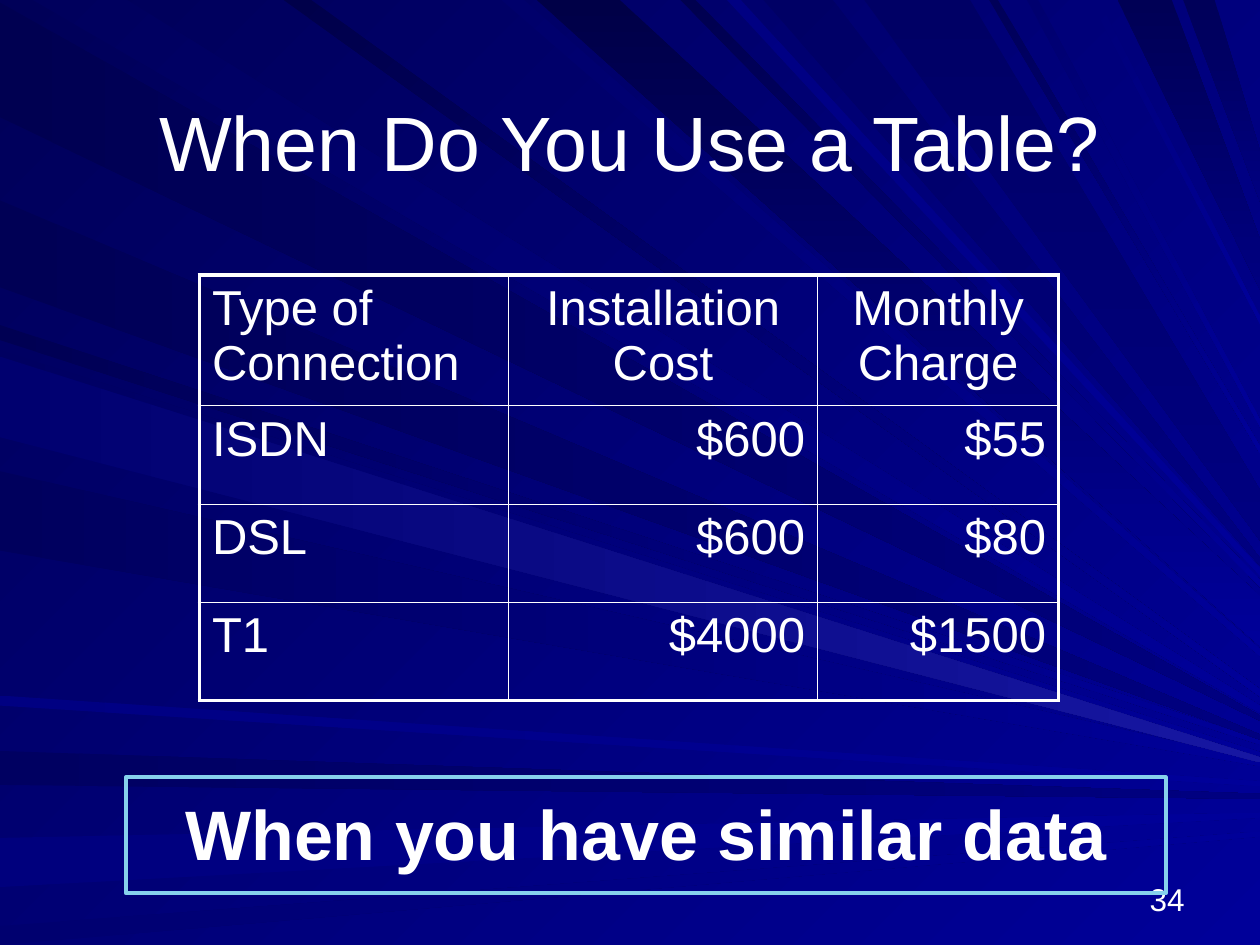
"""Build a slide with a connection cost table over a blue background of light rays."""
import pptx
import pptx.dml.color
import pptx.enum.shapes
import pptx.enum.text
import pptx.oxml
import pptx.oxml.ns
import pptx.util

Cm = pptx.util.Cm
Pt = pptx.util.Pt
ALIGN = pptx.enum.text.PP_ALIGN
ANCHOR = pptx.enum.text.MSO_ANCHOR
WHITE = "FFFFFF"


def colour(code):
    """Turn a hex string into a colour."""
    return pptx.dml.color.RGBColor.from_string(code)


def write(frame, text, size, align, bold=False):
    """Put one white line of text into a text frame."""
    frame.word_wrap = True
    para = frame.paragraphs[0]
    para.alignment = align
    span = para.add_run()
    span.text = text
    span.font.name = "Arial"
    span.font.size = Pt(size)
    span.font.bold = bold
    span.font.color.rgb = colour(WHITE)


deck = pptx.Presentation()
deck.slide_width = Cm(25.4)
deck.slide_height = Cm(19.05)
page = deck.slides.add_slide(deck.slide_layouts[5])

backdrop = page.background.fill
backdrop.gradient()
backdrop.gradient_angle = 315
for stop, code in zip(backdrop.gradient_stops, ("000058", "000099")):
    stop.color.rgb = colour(code)

ray_unit = Cm(0.0254)
right_edge = 1000
left_rays = [
    (2, 93, 570, "000051", "000080"),
    (596, 623, 632, "000061", "000080"),
    (665, 704, 647, "00007D", "000099"),
    (735, 750, 662, "00006F", "000099"),
    (258, 270, 589, "000053", "000099"),
    (159, 228, 585, "000055", "000080"),
    (278, 342, 599, "000061", "000099"),
    (374, 437, 606, "00005D", "000099"),
    (552, 560, 622, "000082", "000099"),
    (283, 347, 603, "00006F", "1717A2"),
]
narrow_top_rays = [
    (26, 101, 563, "00005D", "000099"),
    (398, 416, 518, "00006B", "000099"),
    (540, 552, 463, "00004F", "000099"),
    (606, 661, 446, "000065", "000080"),
    (225, 247, 550, "00004A", "000099"),
    (577, 588, 454, "000082", "000099"),
    (785, 792, 357, "000058", "000099"),
    (815, 824, 336, "00006F", "000099"),
    (865, 872, 254, "000079", "000099"),
]
broad_top_rays = [
    (426, 492, 493, "000047", "000099"),
    (887, 930, 210, "000055", "000080"),
    (939, 964, 140, "000059", "000080"),
    (686, 770, 409, "000065", "000080"),
]
ray_groups = [
    (broad_top_rays, True, 20, 270),
    (narrow_top_rays, True, 3, 315),
    (left_rays, False, 2, 0),
]
for rays, from_top, spread, angle in ray_groups:
    for near, far, tip, dark, light in rays:
        base = [(near, 0), (far, 0)] if from_top else [(0, far), (0, near)]
        ends = [(right_edge, tip - spread), (right_edge, tip + spread)]
        outline = page.shapes.build_freeform(*base[0], scale=ray_unit)
        outline.add_line_segments(base[1:] + ends, close=True)
        ray = outline.convert_to_shape()
        ray.shadow.inherit = False
        ray.line.fill.background()
        ray.fill.gradient()
        ray.fill.gradient_angle = angle
        for stop, code in zip(ray.fill.gradient_stops, (dark, light)):
            stop.color.rgb = colour(code)

number = page.shapes.add_textbox(Cm(18.21), Cm(17.35), Cm(5.92), Cm(1.27))
number.text_frame.vertical_anchor = ANCHOR.BOTTOM
write(number.text_frame, "34", 18, ALIGN.RIGHT)

title = page.shapes.title
title.element.getparent().append(title.element)
title.left, title.top, title.width, title.height = Cm(0), Cm(0.84), Cm(25.4), Cm(3.99)
title.text_frame.vertical_anchor = ANCHOR.MIDDLE
write(title.text_frame, "When Do You Use a Table?", 44, ALIGN.CENTER)

costs = [
    ("Type of Connection", "Installation Cost", "Monthly Charge"),
    ("ISDN", "$600", "$55"),
    ("DSL", "$600", "$80"),
    ("T1", "$4000", "$1500"),
]
widths = [6.23, 6.23, 4.86]
heights = [2.64] + [1.98] * 3
table = page.shapes.add_table(
    len(heights), len(widths), Cm(4.02), Cm(5.54), Cm(sum(widths)), Cm(sum(heights))
).table
table.first_row = False
table.horz_banding = False
for column, width in zip(table.columns, widths):
    column.width = Cm(width)
for row, height in zip(table.rows, heights):
    row.height = Cm(height)
for r, record in enumerate(costs):
    for c, text in enumerate(record):
        cell = table.cell(r, c)
        outer_sides = {
            "L": c == 0,
            "R": c == len(widths) - 1,
            "T": r == 0,
            "B": r == len(heights) - 1,
        }
        for side, outer in outer_sides.items():
            border = pptx.oxml.parse_xml(
                f'<a:ln{side} {pptx.oxml.ns.nsdecls("a")} w="{Pt(2.21 if outer else 0.45)}">'
                f'<a:solidFill><a:srgbClr val="{WHITE}"/></a:solidFill></a:ln{side}>'
            )
            cell._tc.get_or_add_tcPr().append(border)
        cell.fill.background()
        align = ALIGN.LEFT if c == 0 else ALIGN.CENTER if r == 0 else ALIGN.RIGHT
        write(cell.text_frame, text, 28, align)

answer = page.shapes.add_shape(
    pptx.enum.shapes.MSO_SHAPE.RECTANGLE, Cm(2.54), Cm(15.67), Cm(20.96), Cm(2.34)
)
answer.shadow.inherit = False
answer.fill.background()
answer.line.color.rgb = colour("86D1EC")
answer.line.width = Pt(2.25)
answer.text_frame.vertical_anchor = ANCHOR.TOP
answer.text_frame.margin_top = Cm(0.26)
write(answer.text_frame, "When you have similar data", 40, ALIGN.CENTER, bold=True)

deck.save("out.pptx")
